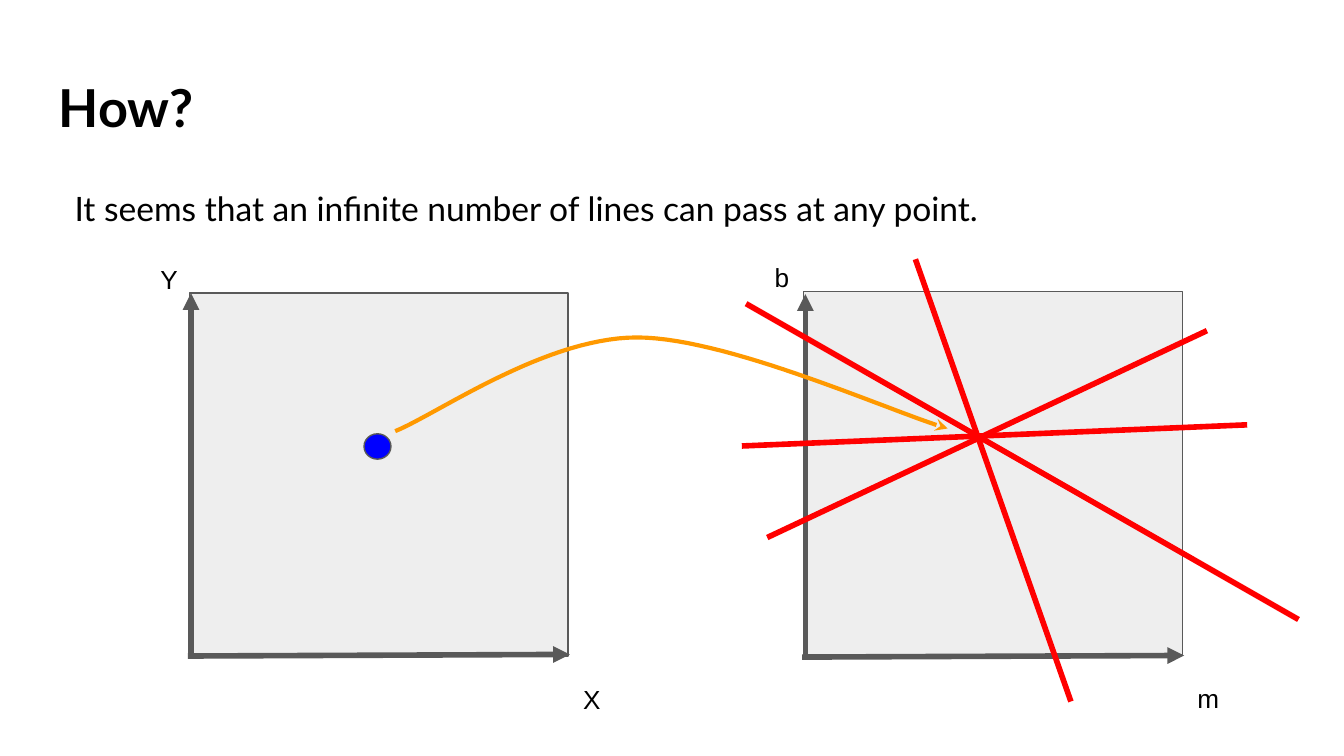
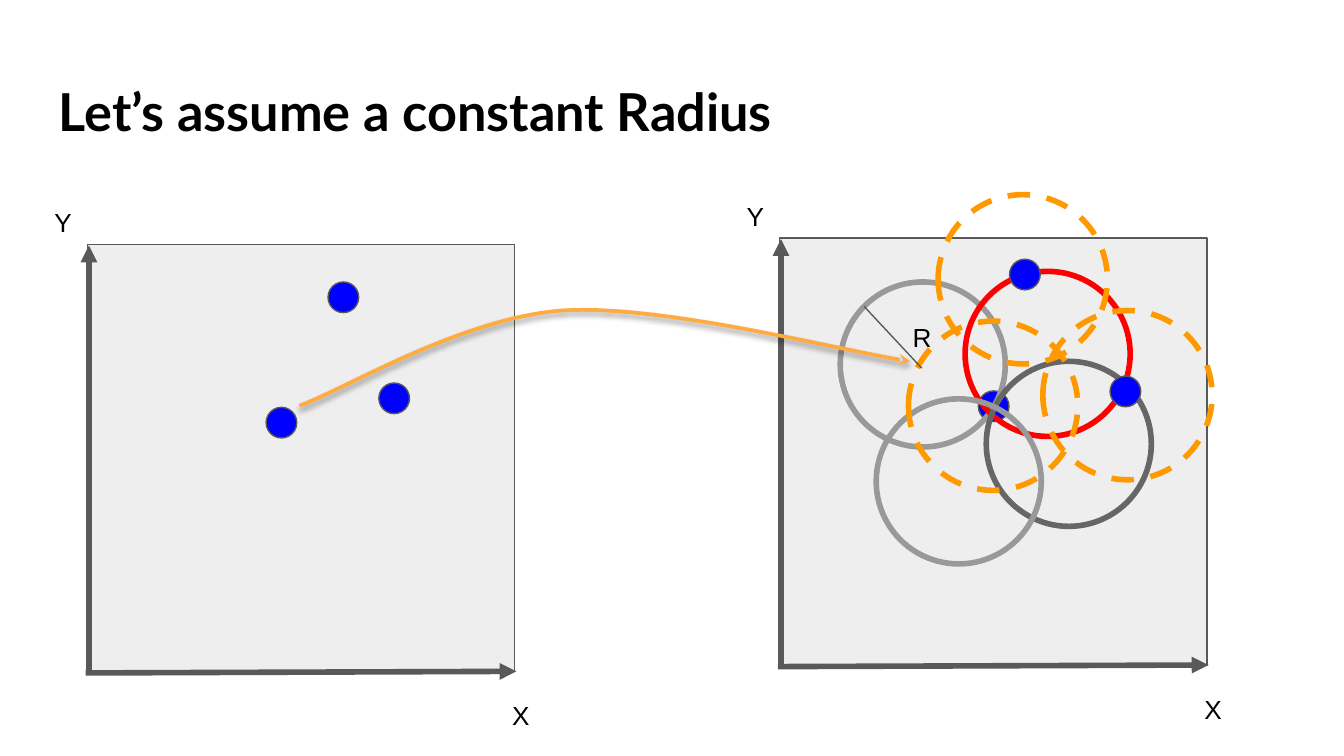
from dataclasses import dataclass
from typing import Optional

from lxml import etree
from pptx import Presentation
from pptx import util as u
from pptx.dml.color import RGBColor
from pptx.enum import dml, shapes, text
from pptx.oxml.ns import qn

BLACK = RGBColor(0x00, 0x00, 0x00)
PANEL_GREY = RGBColor(0xEE, 0xEE, 0xEE)
AXIS_GREY = RGBColor(0x59, 0x59, 0x59)
MID_GREY = RGBColor(0x66, 0x66, 0x66)
LIGHT_GREY = RGBColor(0x99, 0x99, 0x99)
BLUE = RGBColor(0x00, 0x00, 0xFF)
RED = RGBColor(0xFF, 0x00, 0x00)
ORANGE = RGBColor(0xFF, 0x99, 0x00)
PALE_ORANGE = RGBColor(0xFF, 0xAB, 0x40)

HEADING_FONT = "Lato"
LABEL_FONT = "Arial"
MARGIN, CONTENT_WIDTH = 0.86, 23.67
INSET = 0.25
CURVE_STEPS = 30

Point = tuple[float, float]


@dataclass(frozen=True)
class Stroke:
    color: RGBColor
    width: float
    dashed: bool = False
    head: Optional[str] = None


THIN = Stroke(AXIS_GREY, 0.75)
AXIS = Stroke(AXIS_GREY, 3, head="triangle")
RED_LINE = Stroke(RED, 3)
DASHED_ORANGE = Stroke(ORANGE, 3, dashed=True)


@dataclass(frozen=True)
class Panel:
    """A grey square with two axes; all lengths are in centimetres."""
    left: float
    top: float
    width: float
    height: float
    x_name: str
    y_name: str
    label_width: float
    label_height: float
    x_label_shift: float
    axis_drop: float = 0


@dataclass(frozen=True)
class Circle:
    left: float
    top: float
    width: float
    height: float
    stroke: Stroke
    fill: Optional[RGBColor] = None


@dataclass(frozen=True)
class Line:
    start: Point
    end: Point
    stroke: Stroke


def dot(left: float, top: float) -> Circle:
    return Circle(left, top, 0.58, 0.58, THIN, BLUE)


def ring(left: float, top: float, color: RGBColor) -> Circle:
    return Circle(left, top, 3.12, 3.12, Stroke(color, 3))


def dashed_ring(left: float, top: float) -> Circle:
    return Circle(left, top, 3.2, 3.2, DASHED_ORANGE)


def apply_stroke(shape, stroke: Stroke) -> None:
    shape.line.color.rgb = stroke.color
    shape.line.width = u.Pt(stroke.width)
    if stroke.dashed:
        shape.line.dash_style = dml.MSO_LINE.DASH
    if stroke.head:
        line = shape.line._get_or_add_ln()
        etree.SubElement(line, qn("a:tailEnd"), type=stroke.head)


def add_preset(slide, kind, left: float, top: float, width: float, height: float,
               stroke: Stroke, fill: Optional[RGBColor]) -> None:
    shape = slide.shapes.add_shape(kind, u.Cm(left), u.Cm(top), u.Cm(width), u.Cm(height))
    shape.shadow.inherit = False
    if fill is None:
        shape.fill.background()
    else:
        shape.fill.solid()
        shape.fill.fore_color.rgb = fill
    apply_stroke(shape, stroke)


def add_circle(slide, circle: Circle) -> None:
    add_preset(slide, shapes.MSO_SHAPE.OVAL, circle.left, circle.top,
               circle.width, circle.height, circle.stroke, circle.fill)


def add_line(slide, line: Line) -> None:
    connector = slide.shapes.add_connector(
        shapes.MSO_CONNECTOR.STRAIGHT, *(u.Cm(value) for value in line.start + line.end))
    apply_stroke(connector, line.stroke)
    etree.SubElement(connector._element.spPr, qn("a:effectLst"))


def bezier_points(nodes: list[Point]) -> list[Point]:
    """Sample joined cubic curves: one start, then three nodes for each curve."""
    points = [nodes[0]]
    for first in range(0, len(nodes) - 1, 3):
        curve = nodes[first:first + 4]
        for step in range(1, CURVE_STEPS + 1):
            t = step / CURVE_STEPS
            weights = ((1 - t) ** 3, 3 * t * (1 - t) ** 2, 3 * t * t * (1 - t), t ** 3)
            points.append((sum(w * x for w, (x, _) in zip(weights, curve)),
                           sum(w * y for w, (_, y) in zip(weights, curve))))
    return points


def add_curved_arrow(slide, nodes: list[Point], stroke: Stroke):
    points = [(u.Cm(x), u.Cm(y)) for x, y in bezier_points(nodes)]
    builder = slide.shapes.build_freeform(*points[0])
    builder.add_line_segments(points[1:], close=False)
    arrow = builder.convert_to_shape()
    arrow.shadow.inherit = False
    arrow.fill.background()
    apply_stroke(arrow, stroke)
    return arrow


def add_soft_shadow(shape) -> None:
    effects = shape._element.spPr.find(qn("a:effectLst"))
    shadow = etree.SubElement(effects, qn("a:outerShdw"), blurRad=str(u.Pt(3.1)),
                              dist=str(u.Pt(1.6)), dir="5400000", rotWithShape="0")
    color = etree.SubElement(shadow, qn("a:srgbClr"), val=str(BLACK))
    etree.SubElement(color, qn("a:alpha"), val="38000")


def write_text(shape, words: str, font_name: str, size: float, bold: bool = False):
    """Fill a text shape with one left-aligned run and return its paragraph."""
    frame = shape.text_frame
    frame.word_wrap = True
    frame.auto_size = text.MSO_AUTO_SIZE.NONE
    frame.vertical_anchor = text.MSO_ANCHOR.TOP
    frame.margin_left = frame.margin_right = u.Cm(INSET)
    frame.margin_top = frame.margin_bottom = u.Cm(INSET)
    paragraph = frame.paragraphs[0]
    paragraph.alignment = text.PP_ALIGN.LEFT
    run = paragraph.add_run()
    run.text = words
    run.font.name = font_name
    run.font.size = u.Pt(size)
    run.font.bold = bold
    run.font.color.rgb = BLACK
    return paragraph


def add_text(slide, words: str, left: float, top: float, width: float, height: float,
             font_name: str = LABEL_FONT, size: float = 14):
    box = slide.shapes.add_textbox(u.Cm(left), u.Cm(top), u.Cm(width), u.Cm(height))
    return write_text(box, words, font_name, size)


def add_panel(slide, panel: Panel) -> None:
    add_preset(slide, shapes.MSO_SHAPE.RECTANGLE, panel.left, panel.top,
               panel.width, panel.height, THIN, PANEL_GREY)
    nudge = 0.03
    right = panel.left + panel.width
    bottom = panel.top + panel.height
    axis_bottom = bottom + panel.axis_drop
    axis_x = panel.left + nudge
    add_line(slide, Line((axis_x, axis_bottom + nudge),
                         (axis_x, panel.top + panel.axis_drop), AXIS))
    add_line(slide, Line((panel.left - nudge, axis_bottom),
                         (right + nudge, axis_bottom - nudge), AXIS))
    size = (panel.label_width, panel.label_height)
    add_text(slide, panel.y_name, panel.left - panel.label_width - 0.29,
             panel.top - panel.label_height, *size)
    add_text(slide, panel.x_name, right + panel.x_label_shift, bottom + 0.27, *size)


def add_titled_slide(presentation, title: str, top: float):
    slide = presentation.slides.add_slide(presentation.slide_layouts[5])
    shape = slide.shapes.title
    shape.left, shape.top = u.Cm(MARGIN), u.Cm(top)
    shape.width, shape.height = u.Cm(CONTENT_WIDTH), u.Cm(1.6)
    write_text(shape, title, HEADING_FONT, 28, bold=True)
    return slide


def build_line_space_slide(presentation) -> None:
    slide = add_titled_slide(presentation, "How?", 1.17)
    for panel in (
        Panel(3.58, 5.54, 7.16, 6.86, "X", "Y", 0.51, 0.81, 0.03),
        Panel(15.19, 5.51, 7.16, 6.86, "m", "b", 0.51, 0.81, 0.03, 0.05),
    ):
        add_panel(slide, panel)
    add_circle(slide, Circle(6.88, 8.2, 0.51, 0.48, THIN, BLUE))
    for start, end in (
        ((14.1, 5.74), (24.54, 11.71)),
        ((14.02, 8.43), (23.57, 8.03)),
        ((14.5, 10.16), (22.81, 6.25)),
        ((17.3, 4.9), (20.24, 13.26)),
    ):
        add_line(slide, Line(start, end, RED_LINE))
    add_curved_arrow(
        slide,
        [(7.47, 8.15), (8.23, 7.85), (10.29, 6.38), (12.04, 6.38),
         (13.77, 6.38), (16.92, 7.82), (17.91, 8.1)],
        Stroke(ORANGE, 2.25, head="stealth"))
    paragraph = add_text(
        slide, "It seems that an infinite number of lines can pass at any point.",
        MARGIN, 3.18, CONTENT_WIDTH, 1.57, HEADING_FONT, 18)
    paragraph.line_spacing = 1.15
    properties = paragraph._p.get_or_add_pPr()
    properties.set("marL", str(u.Cm(0.3)))
    properties.set("indent", "0")


def build_radius_slide(presentation) -> None:
    slide = add_titled_slide(presentation, "Let’s assume a constant Radius", 1.24)
    for left, top in ((1.65, 4.62), (14.73, 4.5)):
        add_panel(slide, Panel(left, top, 8.08, 8.08, "X", "Y", 0.58, 0.96, -0.3, 0.02))
    for circle in (
        dot(5.03, 7.7),
        dot(18.49, 7.39),
        ring(15.88, 5.33, LIGHT_GREY),
        ring(18.24, 5.13, RED),
        ring(18.64, 6.83, MID_GREY),
        ring(16.56, 7.54, LIGHT_GREY),
        dot(7.16, 7.24),
        dot(20.98, 7.11),
        dot(6.2, 5.33),
        dot(19.08, 4.9),
        dashed_ring(17.17, 6.07),
        dashed_ring(19.71, 5.87),
        dashed_ring(17.73, 3.68),
    ):
        add_circle(slide, circle)
    add_line(slide, Line((16.33, 5.79), (17.42, 6.96), THIN))
    add_text(slide, "R", 17.04, 5.82, 0.46, 0.58)
    arrow = add_curved_arrow(
        slide,
        [(5.66, 7.67), (6.5, 7.37), (8.69, 6.02), (10.62, 5.87),
         (12.55, 5.74), (16.1, 6.68), (17.2, 6.83)],
        Stroke(PALE_ORANGE, 2, head="stealth"))
    add_soft_shadow(arrow)


def main() -> None:
    presentation = Presentation()
    presentation.slide_width = u.Cm(25.4)
    presentation.slide_height = u.Cm(14.29)
    build_line_space_slide(presentation)
    build_radius_slide(presentation)
    presentation.save("out.pptx")


if __name__ == "__main__":
    main()
